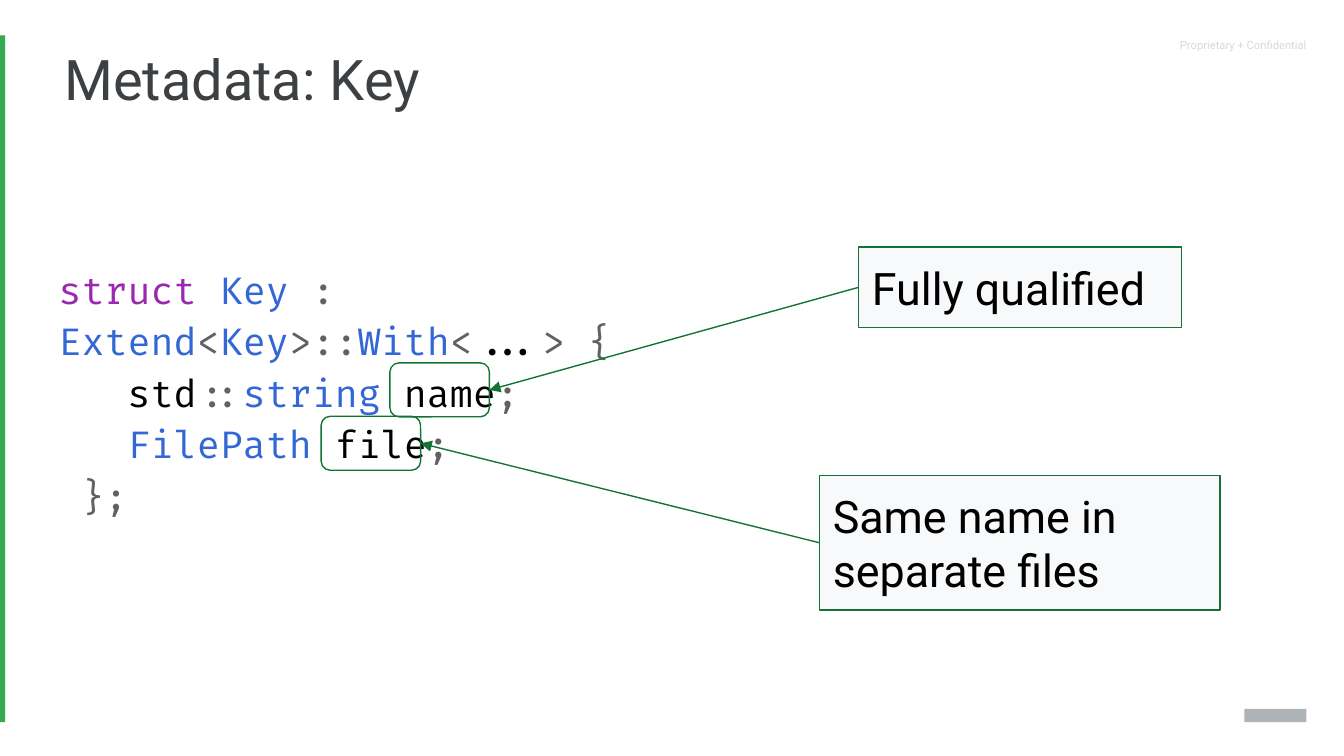
import pptx
import pptx.dml.color
import pptx.enum.shapes
import pptx.enum.text
import pptx.oxml
import pptx.oxml.ns
import pptx.util
from pptx.util import Cm

COLORS = {
    "bar": "34A853", "title": "3C4043", "notice": "D9D9D9", "logo": "AEB3B7",
    "outline": "137333", "panel": "F8F9FA", "plain": "000000",
    "keyword": "9C27B0", "type": "3367D6", "punct": "616161",
}

CODE = [
    [("struct ", "keyword"), ("Key ", "type"), (": ", "punct"),
     ("Extend", "type"), ("<", "punct"), ("Key", "type"), (">::", "punct"),
     ("With", "type"), ("<", "punct"), ("...", "plain"), ("> {", "punct")],
    [("   std", "plain"), ("::", "punct"), ("string", "type"),
     (" name", "plain"), (";", "punct")],
    [("   ", "plain"), ("FilePath", "type"), (" file", "plain"), (";", "punct")],
    [(" ", "plain"), ("};", "punct")],
]

SHAPES = pptx.enum.shapes.MSO_SHAPE
LEFT_SITE, RIGHT_SITE = 1, 3


def rgb(name):
    return pptx.dml.color.RGBColor.from_string(COLORS[name])


class SlideBuilder:
    text_font = "Roboto"
    code_font = "Fira Code"
    inset = Cm(0.25)
    line_width = pptx.util.Pt(0.75)

    def __init__(self, slide):
        self.slide = slide

    def fill_frame(self, frame, paragraphs, size, font=text_font, spacing=1.0):
        """Fill a frame with paragraphs, each a list of (text, colour name)."""
        frame.word_wrap = True
        frame.vertical_anchor = pptx.enum.text.MSO_ANCHOR.TOP
        frame.margin_left = frame.margin_right = self.inset
        frame.margin_top = frame.margin_bottom = self.inset
        for index, runs in enumerate(paragraphs):
            paragraph = frame.add_paragraph() if index else frame.paragraphs[0]
            paragraph.alignment = pptx.enum.text.PP_ALIGN.LEFT
            paragraph.line_spacing = spacing
            for text, color in runs:
                run = paragraph.add_run()
                run.text = text
                run.font.name = font
                run.font.size = pptx.util.Pt(size)
                run.font.color.rgb = rgb(color)

    def text(self, box, paragraphs, size, **style):
        frame = self.slide.shapes.add_textbox(*map(Cm, box)).text_frame
        self.fill_frame(frame, paragraphs, size, **style)

    def shape(self, kind, box, fill=None, outline=None):
        shape = self.slide.shapes.add_shape(kind, *map(Cm, box))
        shape.shadow.inherit = False
        if fill:
            shape.fill.solid()
            shape.fill.fore_color.rgb = rgb(fill)
        else:
            shape.fill.background()
        if outline:
            shape.line.color.rgb = rgb(outline)
            shape.line.width = self.line_width
        else:
            shape.line.fill.background()
        return shape

    def callout(self, box, label):
        callout = self.shape(SHAPES.RECTANGLE, box, "panel", "outline")
        self.fill_frame(callout.text_frame, [[(label, "plain")]], 24)
        callout.text_frame.auto_size = pptx.enum.text.MSO_AUTO_SIZE.SHAPE_TO_FIT_TEXT
        return callout

    def marker(self, box):
        return self.shape(SHAPES.ROUNDED_RECTANGLE, box, outline="outline")

    def arrow(self, callout, marker):
        """Point from a callout's left side to a marker's right side."""
        arrow = self.slide.shapes.add_connector(
            pptx.enum.shapes.MSO_CONNECTOR.STRAIGHT, 0, 0, 0, 0)
        arrow.begin_connect(callout, LEFT_SITE)
        arrow.end_connect(marker, RIGHT_SITE)
        arrow.line.color.rgb = rgb("outline")
        arrow.line.width = self.line_width
        head = pptx.oxml.parse_xml(
            f'<a:tailEnd {pptx.oxml.ns.nsdecls("a")} type="triangle"/>')
        arrow.line._get_or_add_ln().append(head)
        arrow._element.spPr.append(pptx.oxml.parse_xml(
            f'<a:effectLst {pptx.oxml.ns.nsdecls("a")}/>'))


def main():
    deck = pptx.Presentation()
    deck.slide_width, deck.slide_height = Cm(25.4), Cm(14.29)
    builder = SlideBuilder(deck.slides.add_slide(deck.slide_layouts[6]))

    builder.text((22.05, 0.6, 3.35, 0.84),
                 [[("Proprietary + Confidential", "notice")]], 6)
    builder.shape(SHAPES.RECTANGLE, (-0.05, 0.67, 0.15, 12.98), "bar")
    builder.shape(SHAPES.RECTANGLE, (23.52, 13.4, 1.17, 0.25), "logo")

    builder.text((0.86, 4.67, 10.95, 6.5), CODE, 20,
                 font=builder.code_font, spacing=1.15)
    builder.text((0.97, 0.74, 21.67, 1.14),
                 [[("Metadata: Key", "title")]], 30, spacing=0.9)

    annotations = [
        ("Fully qualified", (16.23, 4.67, 6.1, 1.52), (7.37, 6.86)),
        ("Same name in separate files", (15.49, 8.99, 7.57, 2.54), (6.07, 7.87)),
    ]
    for label, box, corner in annotations:
        callout = builder.callout(box, label)
        marker = builder.marker((*corner, 1.88, 1.02))
        builder.arrow(callout, marker)

    deck.save("out.pptx")


if __name__ == "__main__":
    main()
